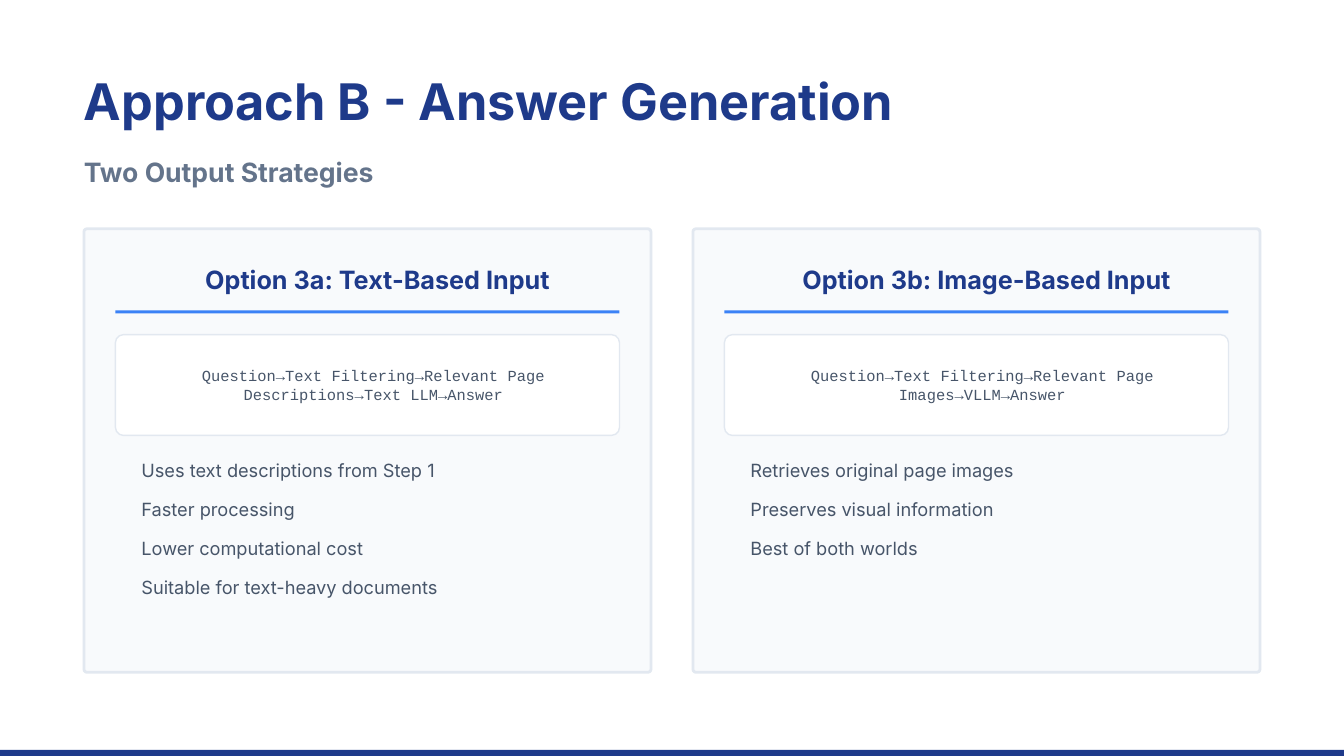
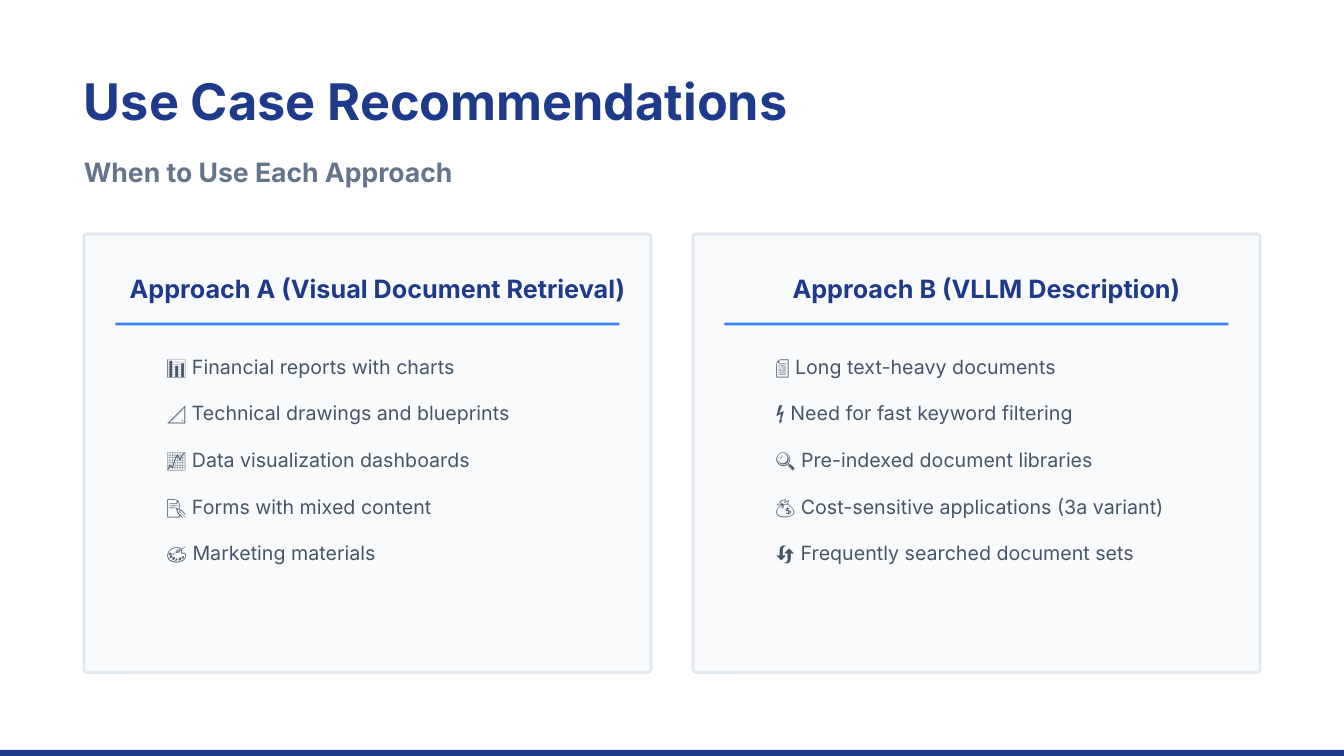
"""Build two slides that each compare two options in side-by-side cards."""
from pptx import Presentation
from pptx.dml.color import RGBColor as RGB
from pptx.enum.shapes import MSO_SHAPE as Shape
from pptx.enum.text import MSO_ANCHOR as Anchor, PP_ALIGN as Align
from pptx.util import Inches, Pt

NAVY = RGB(0x1E, 0x3A, 0x8A)
BLUE = RGB(0x3B, 0x82, 0xF6)
SLATE = RGB(0x64, 0x74, 0x8B)
INK = RGB(0x47, 0x55, 0x69)
EDGE = RGB(0xE2, 0xE8, 0xF0)
PALE = RGB(0xF8, 0xFA, 0xFC)
WHITE = RGB(0xFF, 0xFF, 0xFF)
SANS, MONO = "Inter", "Courier New"

WIDE, HIGH = 13.33, 7.5
EDGE_X = WIDE / 16
GAP = WIDE / 32
CARD_W = (WIDE - 2 * EDGE_X - GAP) / 2
CARD_END = 6.67
RULE_W = 5
INSET = (CARD_W - RULE_W) / 2
BAR_H = 0.06

SLIDES = [
    {
        "title": "Approach B - Answer Generation",
        "sub": "Two Output Strategies",
        "top": 2.27, "head": 2.62, "rule": 3.08,
        "list": {"x": 0.57, "y": 4.39, "size": 13, "pitch": 27.8},
        "cards": [
            {
                "head": "Option 3a: Text-Based Input",
                "flow": "Question→Text Filtering→Relevant Page "
                        "Descriptions→Text LLM→Answer",
                "items": [
                    "Uses text descriptions from Step 1",
                    "Faster processing",
                    "Lower computational cost",
                    "Suitable for text-heavy documents",
                ],
            },
            {
                "head": "Option 3b: Image-Based Input",
                "flow": "Question→Text Filtering→Relevant Page "
                        "Images→VLLM→Answer",
                "items": [
                    "Retrieves original page images",
                    "Preserves visual information",
                    "Best of both worlds",
                ],
            },
        ],
    },
    {
        "title": "Use Case Recommendations",
        "sub": "When to Use Each Approach",
        "top": 2.32, "head": 2.71, "rule": 3.2,
        "list": {"x": 0.82, "y": 3.29, "size": 14, "pitch": 33.3},
        "cards": [
            {
                "head": "Approach A (Visual Document Retrieval)",
                "items": [
                    "📊 Financial reports with charts",
                    "📐 Technical drawings and blueprints",
                    "📈 Data visualization dashboards",
                    "📝 Forms with mixed content",
                    "🎨 Marketing materials",
                ],
            },
            {
                "head": "Approach B (VLLM Description)",
                "items": [
                    "📄 Long text-heavy documents",
                    "⚡ Need for fast keyword filtering",
                    "🔍 Pre-indexed document libraries",
                    "💰 Cost-sensitive applications (3a variant)",
                    "🔄 Frequently searched document sets",
                ],
            },
        ],
    },
]


def put_text(shape, *lines, size, color, font=SANS, bold=False,
             align=Align.LEFT, anchor=Anchor.MIDDLE, pitch=None, pad=(0, 0)):
    frame = shape.text_frame
    frame.word_wrap = True
    frame.vertical_anchor = anchor
    frame.margin_left, frame.margin_right = map(Inches, pad)
    frame.margin_top = frame.margin_bottom = 0
    for n, line in enumerate(lines):
        para = frame.add_paragraph() if n else frame.paragraphs[0]
        para.alignment = align
        if pitch:
            para.line_spacing = Pt(pitch)
        run = para.add_run()
        run.text = line
        run.font.name, run.font.size = font, Pt(size)
        run.font.bold, run.font.color.rgb = bold, color


def add_box(slide, *place):
    return slide.shapes.add_textbox(*map(Inches, place))


def add_rect(slide, *place, fill, line=None, round=None):
    kind = Shape.RECTANGLE if round is None else Shape.ROUNDED_RECTANGLE
    rect = slide.shapes.add_shape(kind, *map(Inches, place))
    rect.shadow.inherit = False
    rect.fill.solid()
    rect.fill.fore_color.rgb = fill
    if round is not None:
        rect.adjustments[0] = round / min(place[2:])
    if line:
        rect.line.color.rgb, rect.line.width = EDGE, Pt(line)
    else:
        rect.line.fill.background()
    return rect


def add_card(slide, page, card, left):
    top, spot = page["top"], page["list"]
    add_rect(slide, left, top, CARD_W, CARD_END - top,
             fill=PALE, line=2, round=0.03)
    add_rect(slide, left + INSET, page["rule"], RULE_W, 0.03, fill=BLUE)
    put_text(add_box(slide, left + 0.2, page["head"], CARD_W - 0.2, 0.3),
             card["head"], size=18, color=NAVY, bold=True, align=Align.CENTER)
    if "flow" in card:
        flow = add_rect(slide, left + INSET, page["rule"] + 0.24, RULE_W, 1,
                        fill=WHITE, line=1, round=0.08)
        put_text(flow, card["flow"], size=11, color=INK, font=MONO,
                 align=Align.CENTER, pad=(0.76, 0.64))
    rows = card["items"]
    room = add_box(slide, left + spot["x"], spot["y"], CARD_W - spot["x"],
                   len(rows) * spot["pitch"] / 72)
    put_text(room, *rows, size=spot["size"], color=INK,
             anchor=Anchor.TOP, pitch=spot["pitch"])


def add_page(deck, page):
    slide = deck.slides.add_slide(deck.slide_layouts[6])
    span = WIDE - 2 * EDGE_X
    put_text(add_box(slide, EDGE_X, 0.69, span, 0.61), page["title"],
             size=36, color=NAVY, bold=True)
    put_text(add_box(slide, EDGE_X, 1.54, span, 0.32), page["sub"],
             size=19, color=SLATE, bold=True)
    for n, card in enumerate(page["cards"]):
        add_card(slide, page, card, EDGE_X + n * (CARD_W + GAP))
    add_rect(slide, 0, HIGH - BAR_H, WIDE, BAR_H, fill=NAVY)


def main():
    deck = Presentation()
    deck.slide_width, deck.slide_height = Inches(WIDE), Inches(HIGH)
    for page in SLIDES:
        add_page(deck, page)
    deck.save("out.pptx")


if __name__ == "__main__":
    main()
